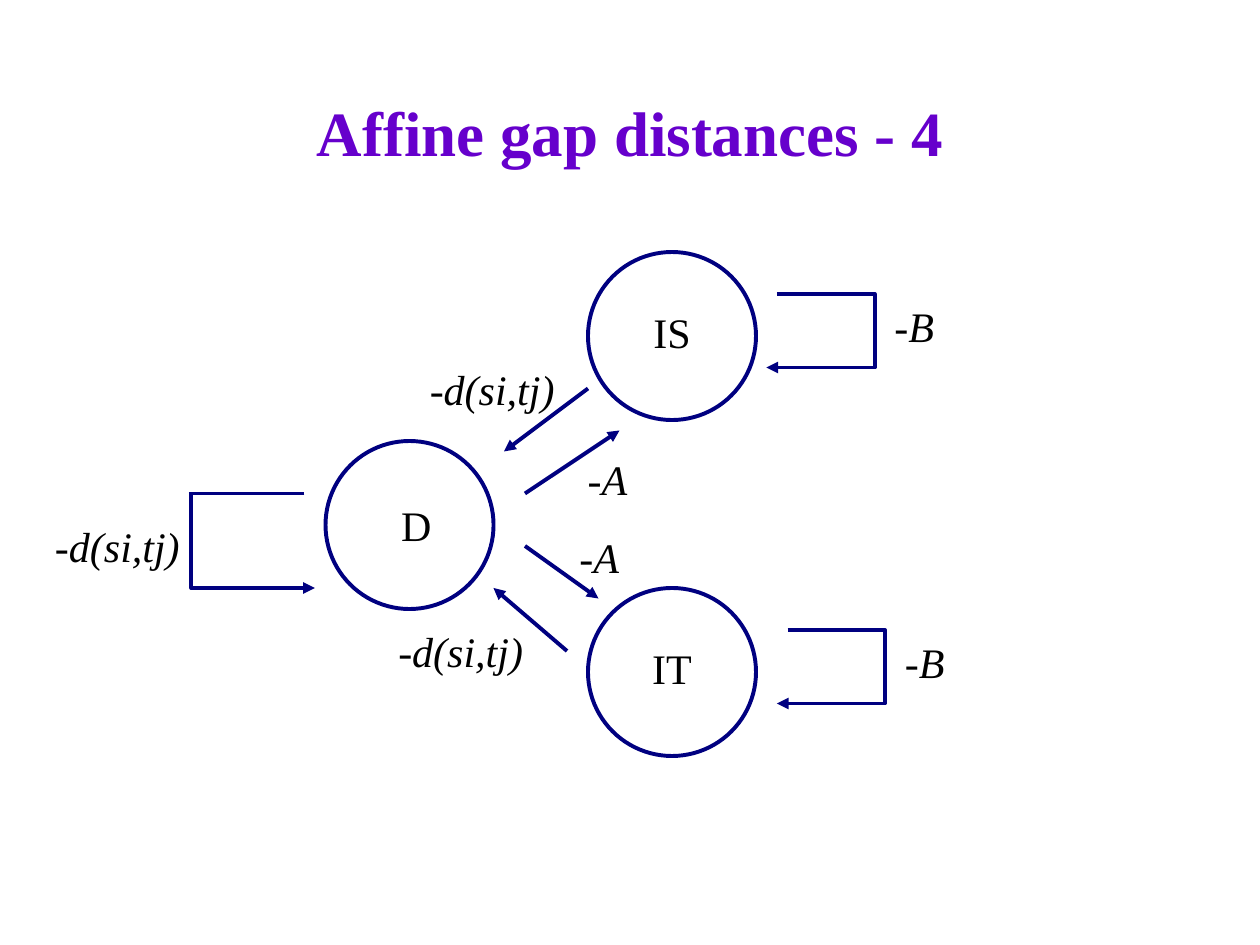
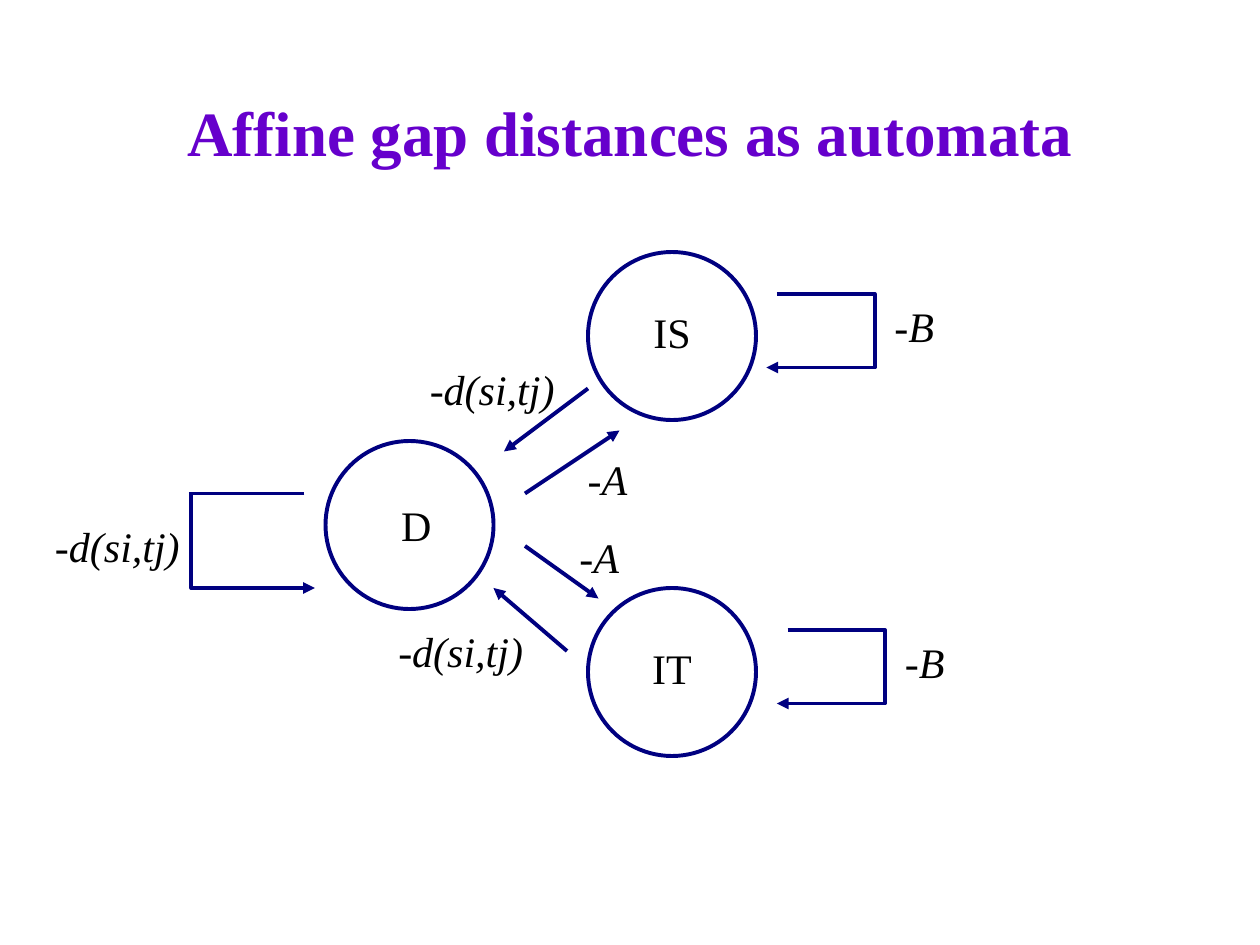
from lxml.etree import SubElement
from pptx import Presentation
from pptx.dml.color import RGBColor
from pptx.enum.shapes import MSO_CONNECTOR, MSO_SHAPE
from pptx.enum.text import MSO_ANCHOR, MSO_AUTO_SIZE, PP_ALIGN
from pptx.oxml.ns import qn
from pptx.util import Inches, Pt

PURPLE = RGBColor(0x66, 0x00, 0xCC)
NAVY = RGBColor(0x00, 0x00, 0x80)
BLACK = RGBColor(0x00, 0x00, 0x00)
FONT = "Times New Roman"
LINE_WIDTH = Pt(2.25)
LEFT, CENTER, RIGHT = PP_ALIGN.LEFT, PP_ALIGN.CENTER, PP_ALIGN.RIGHT

TITLE_FONT = {"name": FONT, "size": Pt(36), "bold": True}
STATE_FONT = {"name": FONT, "size": Pt(24)}
COST_FONT = {**STATE_FONT, "italic": True}

prs = Presentation()
prs.slide_width, prs.slide_height = Inches(10), Inches(7.5)
CELL = prs.slide_width // 120  # the slide is a grid of 120 columns and 90 rows

# All places below are columns and rows of the grid
DIAMETER = 16
STATES = [(56, 24), (56, 56), (31, 42)]
STATE_NAMES = [("D", 37, 47, 5.3), ("IS", 60.75, 28.6, 6.5), ("IT", 60.75, 60.6, 6.5)]
COSTS = [
    ("-B", 84, 28, 6.5, LEFT),
    ("-B", 85, 60, 6.5, LEFT),
    ("-d(si,tj)", 4, 49, 14.3, RIGHT),
    ("-d(si,tj)", 36.7, 59, 14.3, RIGHT),
    ("-d(si,tj)", 39.7, 34, 14.3, RIGHT),
    ("-A", 54.8, 42.6, 6.5, LEFT),
    ("-A", 54, 50, 6.5, LEFT),
]
# Each loop: start, arrow end, free end of its top line, bend as a share of its width
LOOPS = [
    ((83, 28), (73, 35), (74, 28), -0.03),
    ((84, 60), (74, 67), (75, 60), -0.03),
    ((18, 47), (30, 56), (29, 47), 0.02),
]
TRANSITIONS = [
    ((56, 37), (48, 43)),
    ((50, 47), (59, 41)),
    ((50, 52), (57, 57)),
    ((54, 62), (47, 56)),
]


def add_text(s, text, box, align, font, color):
    tb = s.shapes.add_textbox(*(round(n * CELL) for n in box))
    tf = tb.text_frame
    tf.word_wrap = False
    tf.auto_size = MSO_AUTO_SIZE.SHAPE_TO_FIT_TEXT
    p = tf.paragraphs[0]
    p.alignment = align
    r = p.add_run()
    r.text = text
    for name, value in font.items():
        setattr(r.font, name, value)
    r.font.color.rgb = color
    return tf


def add_line(s, start, end, arrow=True, bend=None):
    """Draw a straight line, or an elbow that turns at the share `bend`."""
    kind = MSO_CONNECTOR.STRAIGHT if bend is None else MSO_CONNECTOR.ELBOW
    c = s.shapes.add_connector(kind, *(n * CELL for n in start + end))
    c.line.color.rgb = NAVY
    c.line.width = LINE_WIDTH
    sp_pr = c._element.spPr
    if arrow:
        SubElement(sp_pr.find(qn("a:ln")), qn("a:tailEnd"), type="triangle")
    if bend is not None:
        guides = sp_pr.find(qn("a:prstGeom")).find(qn("a:avLst"))
        SubElement(guides, qn("a:gd"), name="adj1", fmla=f"val {round(bend * 100000)}")
    SubElement(sp_pr, qn("a:effectLst"))


for title in ("Affine gap distances - 4", "Affine gap distances as automata"):
    s = prs.slides.add_slide(prs.slide_layouts[6])

    tf = add_text(s, title, (9, 5, 102, 15), CENTER, TITLE_FONT, PURPLE)
    tf.word_wrap = True
    tf.auto_size = MSO_AUTO_SIZE.NONE
    tf.vertical_anchor = MSO_ANCHOR.MIDDLE

    for col, row in STATES:
        sp = s.shapes.add_shape(MSO_SHAPE.OVAL, col * CELL, row * CELL,
                                DIAMETER * CELL, DIAMETER * CELL)
        sp.shadow.inherit = False
        sp.fill.background()
        sp.line.color.rgb = NAVY
        sp.line.width = LINE_WIDTH

    for start, end, free_end, bend in LOOPS:
        add_line(s, start, end, bend=bend)
        add_line(s, free_end, start, arrow=False)
    for start, end in TRANSITIONS:
        add_line(s, start, end)

    for name, col, row, width in STATE_NAMES:
        add_text(s, name, (col, row, width, 6), CENTER, STATE_FONT, BLACK)
    for cost, col, row, width, align in COSTS:
        add_text(s, cost, (col, row, width, 6), align, COST_FONT, BLACK)

prs.save("out.pptx")
